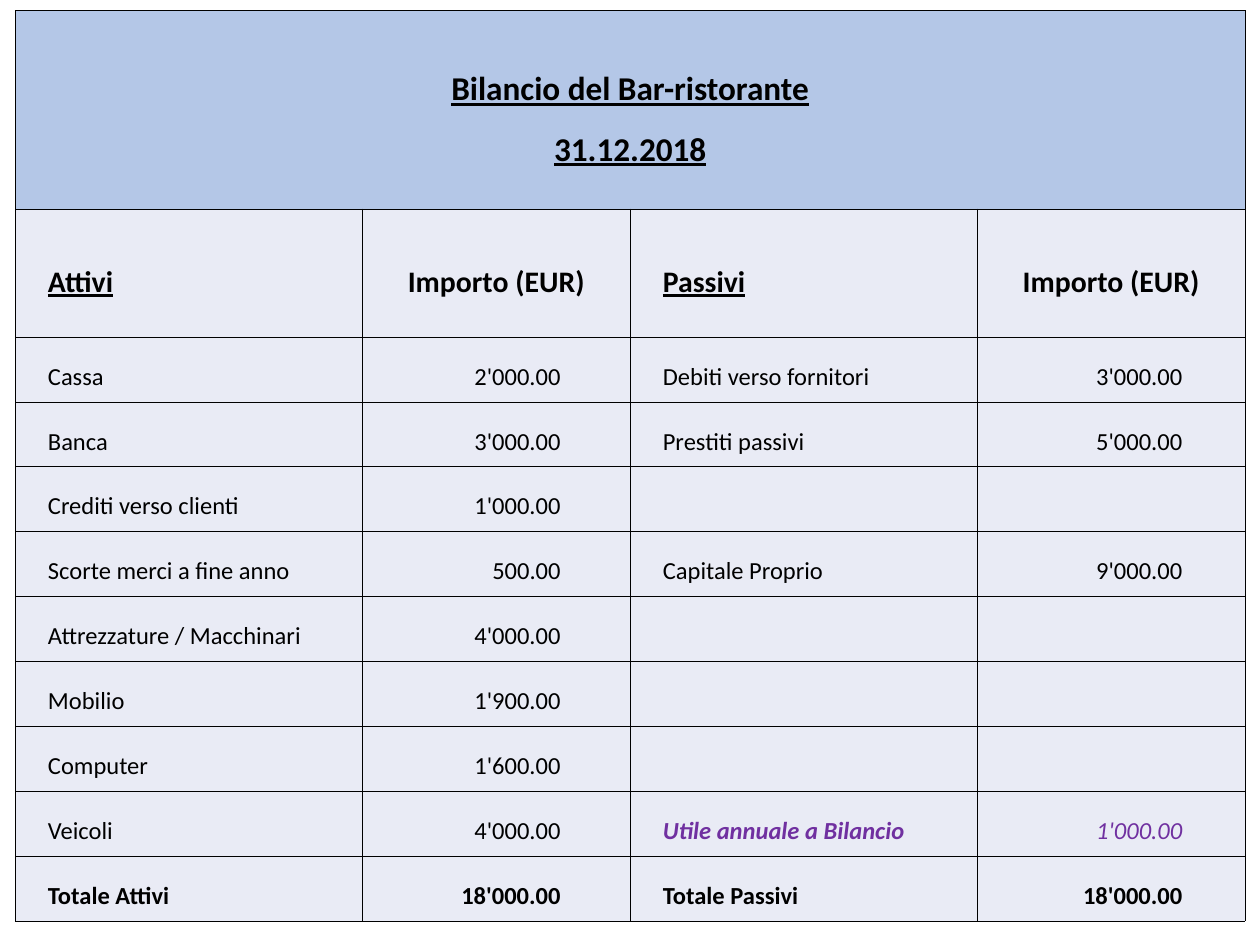
from lxml import etree
from pptx import Presentation
from pptx.dml.color import RGBColor
from pptx.enum.text import MSO_ANCHOR, PP_ALIGN
from pptx.oxml.ns import qn
from pptx.util import Pt

LEFT, CENTER, RIGHT = PP_ALIGN.LEFT, PP_ALIGN.CENTER, PP_ALIGN.RIGHT
MIDDLE = MSO_ANCHOR.MIDDLE

BLACK = RGBColor(0x00, 0x00, 0x00)
PURPLE = RGBColor(0x70, 0x30, 0xA0)
TITLE_BLUE = RGBColor(0xB4, 0xC7, 0xE7)
PALE_BLUE = RGBColor(0xE9, 0xEB, 0xF5)

COLUMN_WIDTHS = [198.4, 153, 198.4, 153]
TITLE_HEIGHT, HEADING_HEIGHT, ENTRY_HEIGHT = 113.4, 73.1, 37.08
LABEL_INDENT = 14.4
AMOUNT_INDENTS = {1: 35.4, 3: 31.5}

TITLE = "Bilancio del Bar-ristorante\n31.12.2018"
HEADINGS = ["Attivi", "Importo (EUR)", "Passivi", "Importo (EUR)"]
ENTRIES = [
    ["Cassa", "2'000.00", "Debiti verso fornitori", "3'000.00"],
    ["Banca", "3'000.00", "Prestiti passivi", "5'000.00"],
    ["Crediti verso clienti", "1'000.00", "", ""],
    ["Scorte merci a fine anno", "500.00", "Capitale Proprio", "9'000.00"],
    ["Attrezzature / Macchinari", "4'000.00", "", ""],
    ["Mobilio", "1'900.00", "", ""],
    ["Computer", "1'600.00", "", ""],
    ["Veicoli", "4'000.00", "Utile annuale a Bilancio", "1'000.00"],
    ["Totale Attivi", "18'000.00", "Totale Passivi", "18'000.00"],
]


class SlideBuilder:
    """Holds the shared style and the current slide."""

    font = "Calibri"
    line_spacing = 1.5
    border_width = 0.25
    side_margin = 4.3

    def __init__(self, page):
        self.page = page

    def table(self, left, top, widths, heights):
        frame = self.page.shapes.add_table(
            len(heights), len(widths), Pt(left), Pt(top),
            Pt(sum(widths)), Pt(sum(heights)))
        table = frame.table
        table.first_row = table.horz_banding = False
        for column, width in zip(table.columns, widths):
            column.width = Pt(width)
        for row, height in zip(table.rows, heights):
            row.height = Pt(height)
        for cell in table.iter_cells():
            self.border(cell)
            self.fill(cell, PALE_BLUE)
        return table

    def border(self, cell):
        properties = cell._tc.get_or_add_tcPr()
        for side in ("a:lnL", "a:lnR", "a:lnT", "a:lnB"):
            line = etree.SubElement(properties, qn(side), w=str(Pt(self.border_width)))
            solid = etree.SubElement(line, qn("a:solidFill"))
            etree.SubElement(solid, qn("a:srgbClr"), val=str(BLACK))

    def fill(self, cell, color):
        cell.fill.solid()
        cell.fill.fore_color.rgb = color

    def text(self, cell, text, size, align=LEFT, indent=0, color=BLACK,
             bold=False, italic=False, underline=False):
        cell.vertical_anchor = MIDDLE
        cell.margin_left = cell.margin_right = Pt(self.side_margin)
        cell.margin_top = cell.margin_bottom = 0
        cell.text_frame.text = text
        for paragraph in cell.text_frame.paragraphs:
            paragraph.alignment = align
            paragraph.line_spacing = self.line_spacing
            if indent:
                side = "marR" if align == RIGHT else "marL"
                paragraph._p.get_or_add_pPr().set(side, str(Pt(indent)))
            for span in paragraph.runs:
                font = span.font
                font.name, font.size = self.font, Pt(size)
                font.bold, font.italic, font.underline = bold, italic, underline
                font.color.rgb = color


def fill_headings(builder, table):
    for column, heading in enumerate(HEADINGS):
        is_label = column not in AMOUNT_INDENTS
        builder.text(table.cell(1, column), heading, 17,
                     align=LEFT if is_label else CENTER,
                     indent=LABEL_INDENT if is_label else 0,
                     bold=True, underline=is_label)


def fill_entries(builder, table):
    for row, entry in enumerate(ENTRIES, start=2):
        is_total = entry is ENTRIES[-1]
        for column, text in enumerate(entry):
            if not text:
                continue
            is_label = column not in AMOUNT_INDENTS
            is_profit = column >= 2 and entry[2].startswith("Utile")
            builder.text(table.cell(row, column), text, 14,
                         align=LEFT if is_label else RIGHT,
                         indent=AMOUNT_INDENTS.get(column, LABEL_INDENT),
                         color=PURPLE if is_profit else BLACK,
                         bold=is_total or (is_profit and is_label),
                         italic=is_profit)


def main():
    deck = Presentation()
    deck.slide_width, deck.slide_height = Pt(720), Pt(540)
    builder = SlideBuilder(deck.slides.add_slide(deck.slide_layouts[6]))

    heights = [TITLE_HEIGHT, HEADING_HEIGHT] + [ENTRY_HEIGHT] * len(ENTRIES)
    table = builder.table(8.7, 6, COLUMN_WIDTHS, heights)

    title = table.cell(0, 0)
    title.merge(table.cell(0, len(COLUMN_WIDTHS) - 1))
    builder.fill(title, TITLE_BLUE)
    builder.text(title, TITLE, 19, align=CENTER, bold=True, underline=True)
    fill_headings(builder, table)
    fill_entries(builder, table)

    deck.save("out.pptx")


if __name__ == "__main__":
    main()
